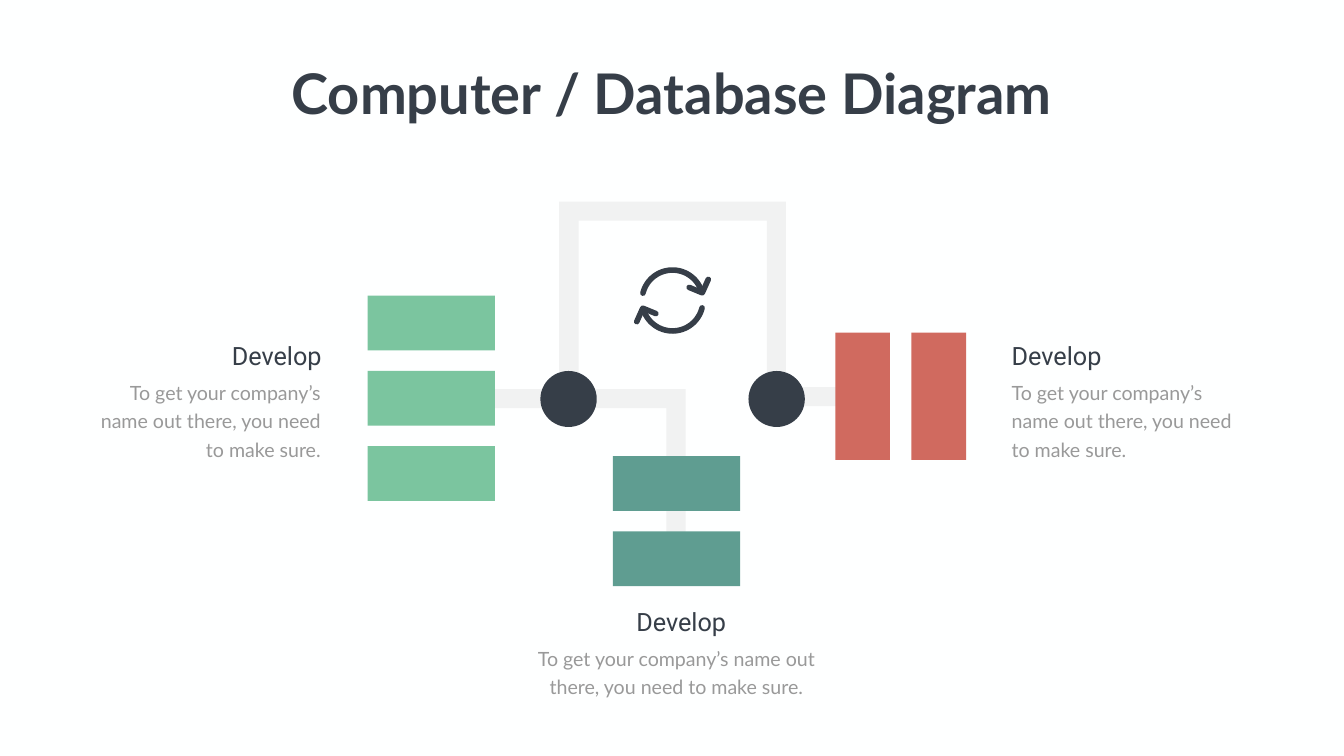
from math import cos, radians, sin

from lxml.etree import SubElement
from pptx import Presentation
from pptx.dml.color import RGBColor
from pptx.enum.shapes import MSO_SHAPE
from pptx.enum.text import MSO_ANCHOR, MSO_AUTO_SIZE, PP_ALIGN
from pptx.oxml.ns import qn
from pptx.util import Pt

BACKGROUND = RGBColor(0xFE, 0xFF, 0xFF)
DARK = RGBColor(0x36, 0x3E, 0x48)
GREY = RGBColor(0x99, 0x99, 0x99)
PIPE = RGBColor(0x80, 0x80, 0x80)
GREEN = RGBColor(0x7B, 0xC5, 0x9F)
TEAL = RGBColor(0x5F, 0x9D, 0x91)
RED = RGBColor(0xD0, 0x6A, 0x5F)

BODY = "To get your company’s name out there, you need to make sure."
LONG, SHORT, STEP = 181.8, 78, 107.5
ICON_X, ICON_Y, ICON_RADIUS = 960.5, 429.3, 43.5


def add_block(s, kind, x, y, w, h, color):
    sp = s.shapes.add_shape(kind, Pt(x), Pt(y), Pt(w), Pt(h))
    sp.shadow.inherit = False
    sp.fill.solid()
    sp.fill.fore_color.rgb = color
    sp.line.fill.background()
    return sp


def add_outline(s, points, close):
    points = [(Pt(x), Pt(y)) for x, y in points]
    builder = s.shapes.build_freeform(*points[0])
    builder.add_line_segments(points[1:], close=close)
    sp = builder.convert_to_shape()
    sp.shadow.inherit = False
    return sp


def add_pipe(s, points):
    sp = add_outline(s, points, True)
    sp.fill.solid()
    sp.fill.fore_color.rgb = PIPE
    sp.line.fill.background()
    color = sp.fill._xPr.find(qn("a:solidFill"))[0]
    SubElement(color, qn("a:alpha"), val="10000")


def add_stroke(s, points):
    sp = add_outline(s, points, False)
    sp.fill.background()
    sp.line.color.rgb = DARK
    sp.line.width = Pt(8)
    ln = sp.line._get_or_add_ln()
    ln.set("cap", "rnd")
    SubElement(ln, qn("a:round"))


def add_cycle_icon(s):
    arc = [(ICON_RADIUS * cos(radians(a)), -ICON_RADIUS * sin(radians(a)))
           for a in range(166, 24, -3)]
    head = [(23.8, -18.7), (42.5, -11), (51.1, -30.2)]
    for sign in (1, -1):
        for stroke in (arc, head):
            add_stroke(s, [(ICON_X + sign * x, ICON_Y + sign * y) for x, y in stroke])


def write(tf, text, size, font, color, align, bold=False):
    p = tf.paragraphs[0]
    p.alignment = align
    r = p.add_run()
    r.text = text
    r.font.size = Pt(size)
    r.font.name = font
    r.font.bold = bold
    r.font.color.rgb = color
    return p


def add_text(s, x, y, w, h, text, size, font, color, align):
    tf = s.shapes.add_textbox(Pt(x), Pt(y), Pt(w), Pt(h)).text_frame
    tf.word_wrap = True
    return write(tf, text, size, font, color, align)


def add_label(s, y, head_x, body_x, body_w, body_h, align):
    p = add_text(s, body_x, y + 50.4, body_w, body_h, BODY, 28, "Lato", GREY, align)
    p.line_spacing = Pt(40.8)
    add_text(s, head_x, y, 316, 51, "Develop", 36, "Roboto", DARK, align)


def add_title(s, text):
    sp = s.shapes.title
    sp.left, sp.top, sp.width, sp.height = Pt(403.2), Pt(80.6), Pt(1112.4), Pt(104.4)
    tf = sp.text_frame
    tf.word_wrap = False
    tf.auto_size = MSO_AUTO_SIZE.NONE
    tf.vertical_anchor = MSO_ANCHOR.TOP
    write(tf, text, 80, "Lato", DARK, PP_ALIGN.CENTER, True)


def main():
    prs = Presentation()
    prs.slide_width, prs.slide_height = Pt(1919.5), Pt(1080)
    s = prs.slides.add_slide(prs.slide_layouts[5])
    s.background.fill.solid()
    s.background.fill.fore_color.rgb = BACKGROUND

    add_pipe(s, [(1096.5, 553), (1263, 553), (1263, 580.3), (1096.5, 580.3)])
    add_pipe(s, [
        (1122.5, 552.2), (1122.5, 288), (798.5, 288), (798.5, 555.8), (684.7, 555.8),
        (684.7, 583.2), (951.8, 583.2), (951.8, 820), (979.2, 820), (979.2, 555.8),
        (826.3, 555.8), (826.3, 315.4), (1095.1, 315.4), (1095.1, 552.2)])
    for x in (771.8, 1069):
        add_block(s, MSO_SHAPE.OVAL, x, 530, 80.5, 80, DARK)
    for i in range(2):
        add_block(s, MSO_SHAPE.RECTANGLE, 1193 + i * 108.7, 475.2, SHORT, LONG, RED)
        add_block(s, MSO_SHAPE.RECTANGLE, 875.3, 651.8 + i * STEP, LONG, SHORT, TEAL)
    for i in range(3):
        add_block(s, MSO_SHAPE.RECTANGLE, 525, 422.5 + i * STEP, LONG, SHORT, GREEN)

    add_label(s, 482.4, 1437.8, 1437.8, 328.3, 127.4, PP_ALIGN.LEFT)
    add_label(s, 482.4, 150.5, 136.8, 328.3, 127.4, PP_ALIGN.RIGHT)
    add_label(s, 862.6, 815, 746, 440, 85.7, PP_ALIGN.CENTER)
    add_cycle_icon(s)
    add_title(s, "Computer / Database Diagram")
    prs.save("out.pptx")


if __name__ == "__main__":
    main()
